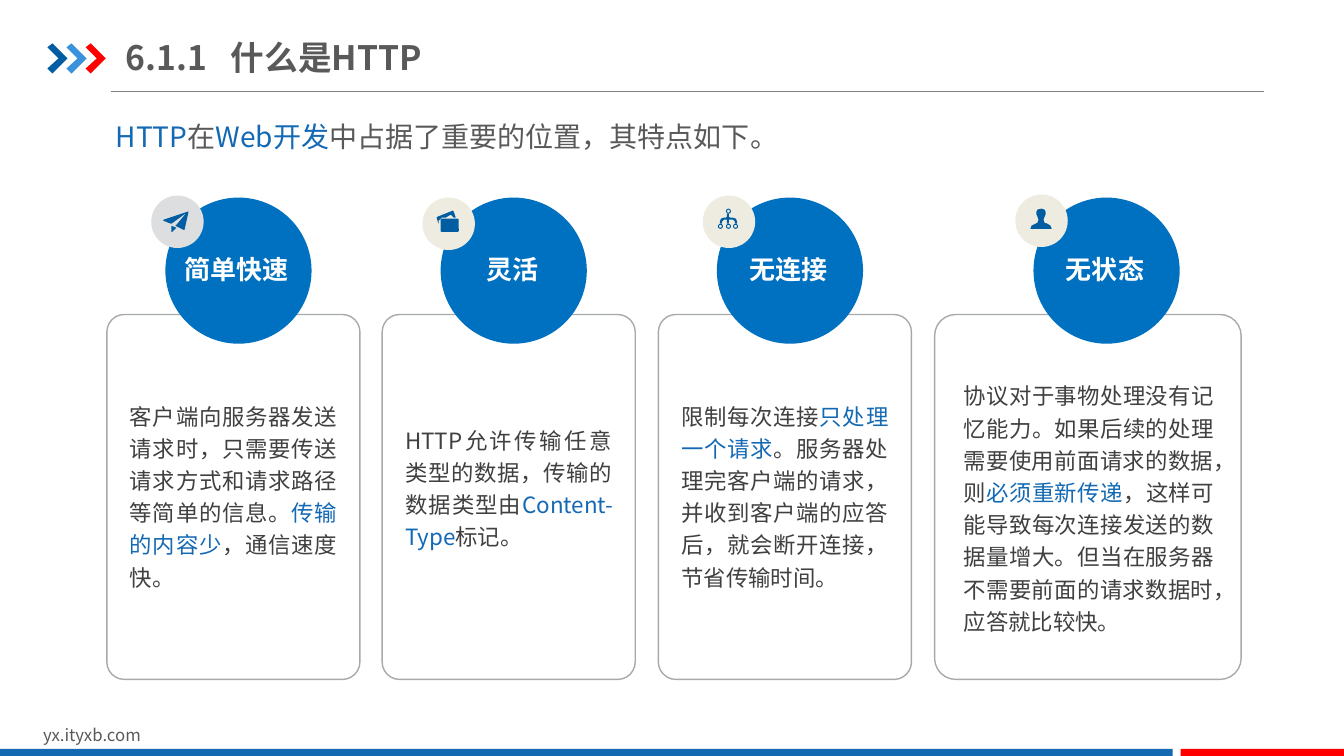
"""Build the slide on what HTTP is and its four characteristics."""
import lxml.etree
import pptx
import pptx.dml.color
import pptx.enum.shapes
import pptx.enum.text
import pptx.oxml.ns
import pptx.util

PX = 9144
THEME = {
    "font": "Noto Sans CJK SC",
    "title_size": 24, "lead_size": 20, "heading_size": 18.6, "body_size": 16, "footer_size": 12,
    "grey": "595959", "body": "404040", "accent": "1369B3", "white": "FFFFFF",
    "circle": "0070C0", "icon": "005DA2", "sky": "3992DB", "red": "FF0000",
    "bar": "1369B2", "rule": "808080", "border": "A6AAA9",
    "silver": "DCDEE0", "cream": "EEECE1",
}
SHAPE = pptx.enum.shapes.MSO_SHAPE
ALIGN = pptx.enum.text.PP_ALIGN
ANCHOR = pptx.enum.text.MSO_ANCHOR
qn = pptx.oxml.ns.qn

deck = pptx.Presentation()
deck.slide_width, deck.slide_height = 1333 * PX, 750 * PX
slide = deck.slides.add_slide(deck.slide_layouts[6])


def colour(name):
    return pptx.dml.color.RGBColor.from_string(THEME[name])


def write(box, runs, size, bold=False, align=ALIGN.LEFT, anchor=ANCHOR.MIDDLE, spacing=None):
    frame = slide.shapes.add_textbox(*[v * PX for v in box]).text_frame
    frame.word_wrap = True
    frame.vertical_anchor = anchor
    paragraph = frame.paragraphs[0]
    paragraph.alignment = align
    paragraph.line_spacing = spacing
    for words, tint in runs:
        run = paragraph.add_run()
        run.text = words
        run.font.size = pptx.util.Pt(THEME[size])
        run.font.bold = bold
        run.font.color.rgb = colour(tint)
        run.font.name = THEME["font"]
        east_asian = lxml.etree.SubElement(run.font._element, qn("a:ea"))
        east_asian.set("typeface", THEME["font"])
    return frame


title_rule = slide.shapes.add_connector(
    pptx.enum.shapes.MSO_CONNECTOR.STRAIGHT, 110 * PX, 91 * PX, 1254 * PX, 91 * PX)
title_rule.line.color.rgb = colour("rule")
title_rule.line.width = pptx.util.Pt(0.75)
lxml.etree.SubElement(title_rule._element.spPr, qn("a:effectLst"))

title = write((125, 29, 426, 55), [("6.1.1\t什么是HTTP", "grey")], "title_size", bold=True)
title.margin_left = title.margin_right = 0
title_tabs = lxml.etree.SubElement(title.paragraphs[0]._p.get_or_add_pPr(), qn("a:tabLst"))
lxml.etree.SubElement(title_tabs, qn("a:tab"), pos=str(104 * PX), algn="l")

lead = write((76, 114, 836, 44), [
    ("HTTP", "accent"), ("在", "grey"), ("Web开发", "accent"),
    ("中占据了重要的位置，其特点如下。", "grey"),
], "lead_size", anchor=ANCHOR.TOP)
lead.paragraphs[0]._p.get_or_add_pPr().set("indent", str(29 * PX))

write((33, 714, 318, 30), [("yx.ityxb.com", "grey")], "footer_size", anchor=ANCHOR.TOP)

features = [
    ("简单快速", 106, 251, 58, (13, 369, 225), (150, 194), "silver", [
        ("客户端向服务器发送请求时，只需要传送请求方式和请求路径等简单的信息。", "body"),
        ("传输的内容少", "accent"), ("，通信速度快。", "body")]),
    ("灵活", 379, 251, 58, (13, 361, 225), (419, 196), "cream", [
        ("HTTP允许传输任意类型的数据，传输的数据类型由", "body"),
        ("Content-Type", "accent"), ("标记。", "body")]),
    ("无连接", 653, 251, 58, (13, 369, 225), (697, 194), "cream", [
        ("限制每次连接", "body"), ("只处理一个请求", "accent"),
        ("。服务器处理完客户端的请求，并收到客户端的应答后，就会断开连接，节省传输时间。", "body")]),
    ("无状态", 927, 304, 98, (19, 381, 268), (1007, 193), "cream", [
        ("协议对于事物处理没有记忆能力。如果后续的处理需要使用前面请求的数据，则", "body"),
        ("必须重新传递", "accent"),
        ("，这样可能导致每次连接发送的数据量增大。但当在服务器不需要前面的请求数据时，应答就比较快。",
         "body")]),
]

presets = [
    (SHAPE.RECTANGLE, (0, 743, 1163, 7), "bar", None),
    (SHAPE.RECTANGLE, (1171, 743, 162, 7), "red", None),
]
for heading, left, width, inset, body, badge, badge_tint, explanation in features:
    presets += [
        (SHAPE.ROUNDED_RECTANGLE, (left, 312, width, 362), None, 0.069),
        (SHAPE.OVAL, (left + inset, 196, 145, 145), "circle", None),
        (SHAPE.OVAL, (*badge, 52, 52), badge_tint, None),
    ]
presets.append((SHAPE.ROUNDED_RECTANGLE, (437, 217, 18, 13), "icon", 0.07))
for node in [(720, 207), (712, 222), (720, 222), (727, 222)]:
    presets.append((SHAPE.DONUT, (*node, 5, 5), "icon", 0.2))

drawn = []
for preset, box, tint, adjustment in presets:
    shape = slide.shapes.add_shape(preset, *[v * PX for v in box])
    if adjustment is not None:
        shape.adjustments[0] = adjustment
    drawn.append((shape, tint))

chevron = [(0, 4), (5, 0), (20, 15), (5, 30), (0, 25), (11, 15)]
outlines = [
    ([(47 + 19 * i + x, 43 + y) for x, y in chevron], tint)
    for i, tint in enumerate(["icon", "sky", "red"])
]
plane_wings = [(186, 210), (162, 218), (162, 219), (167, 221), (170, 222), (185, 211),
               (175, 223), (174, 224), (182, 228), (183, 228), (187, 210)]
plane_tail = [(170, 230), (171, 230), (175, 226), (170, 224)]
back_card = [(452, 216), (450, 210), (449, 209), (434, 215), (433, 216), (435, 222),
             (435, 219), (438, 216), (442, 216), (447, 213), (450, 216)]
network_tree = [(721, 212), (721, 215), (720, 216), (718, 216), (715, 217), (714, 220),
                (714, 222), (716, 222), (716, 220), (718, 218), (721, 218), (721, 222),
                (723, 222), (723, 218), (727, 218), (729, 220), (729, 222), (731, 222),
                (731, 220), (730, 217), (727, 216), (724, 216), (723, 215), (723, 212)]
person = [(1039, 222), (1036, 221), (1035, 218), (1036, 215), (1037, 213), (1037, 210),
          (1036, 208), (1033, 207), (1029, 208), (1028, 210), (1028, 213), (1029, 215),
          (1030, 218), (1029, 221), (1027, 222), (1023, 224), (1022, 227), (1043, 227),
          (1042, 224)]
for icon in [plane_wings, plane_tail, back_card, network_tree, person]:
    outlines.append((icon, "icon"))
for points, tint in outlines:
    builder = slide.shapes.build_freeform(*points[0], scale=PX)
    builder.add_line_segments(points[1:], close=True)
    drawn.append((builder.convert_to_shape(), tint))

for shape, tint in drawn:
    shape.shadow.inherit = False
    if tint:
        shape.fill.solid()
        shape.fill.fore_color.rgb = colour(tint)
        shape.line.fill.background()
    else:
        shape.fill.background()
        shape.line.color.rgb = colour("border")
        shape.line.width = pptx.util.Pt(1)

for heading, left, width, inset, body, badge, badge_tint, explanation in features:
    body_inset, body_top, body_width = body
    write((left + inset - 22, 235, 186, 63), [(heading, "white")], "heading_size",
          bold=True, align=ALIGN.CENTER)
    write((left + body_inset, body_top, body_width, 242), explanation, "body_size",
          align=ALIGN.JUSTIFY, spacing=1.2)

deck.save("out.pptx")
